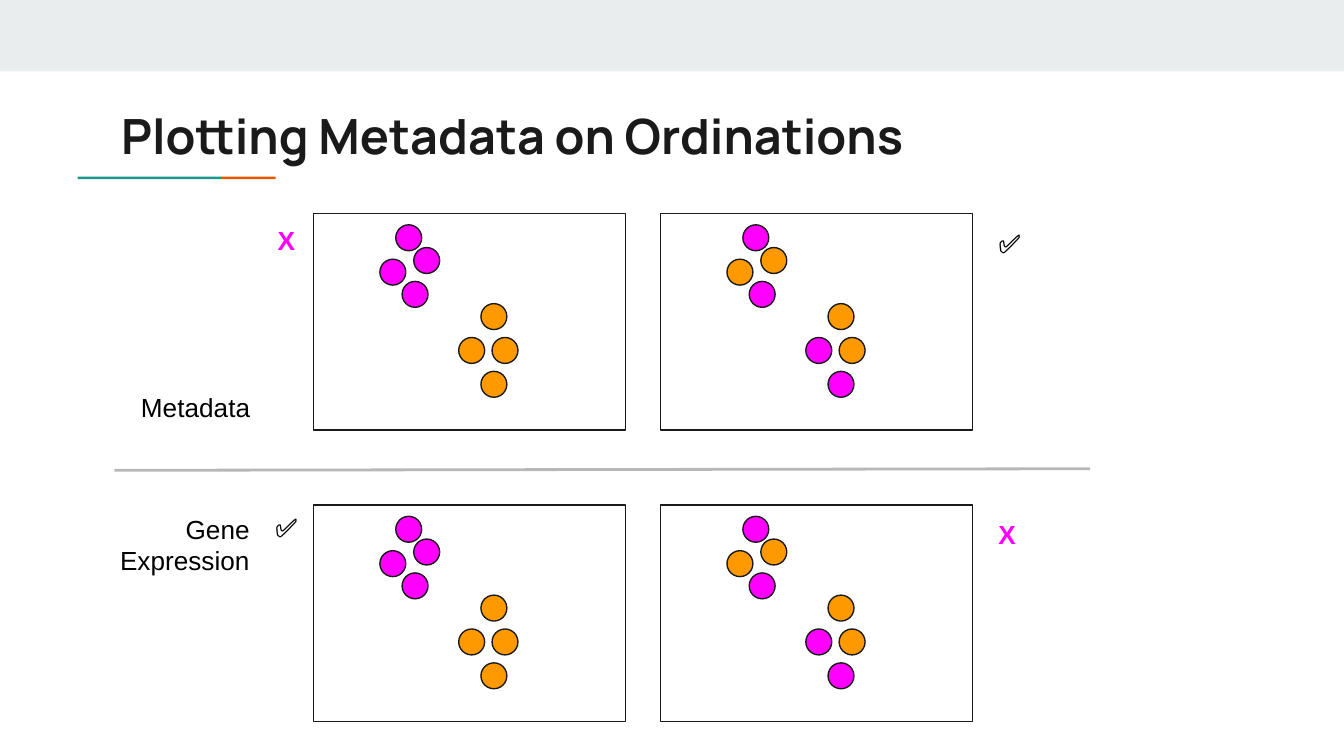
from pptx import Presentation
from pptx.dml.color import RGBColor
from pptx.enum.shapes import MSO_CONNECTOR, MSO_SHAPE
from pptx.enum.text import MSO_ANCHOR, MSO_AUTO_SIZE, PP_ALIGN
from pptx.oxml.ns import qn
from pptx.util import Cm, Pt
from lxml import etree

RECT, OVAL = MSO_SHAPE.RECTANGLE, MSO_SHAPE.OVAL
LINE = MSO_CONNECTOR.STRAIGHT
LEFT, RIGHT = PP_ALIGN.LEFT, PP_ALIGN.RIGHT
TOP, FIXED = MSO_ANCHOR.TOP, MSO_AUTO_SIZE.NONE
INK, PINK, GOLD = "1A1A1A", "FF00FF", "FF9900"
rgb = RGBColor.from_string


def draw(shapes, kind, box, fill, edge=None):
    shape = shapes.add_shape(kind, *map(Cm, box))
    shape.shadow.inherit = False
    shape.fill.solid()
    shape.fill.fore_color.rgb = rgb(fill)
    if edge:
        shape.line.color.rgb = rgb(edge)
        shape.line.width = Pt(0.75)
    else:
        shape.line.fill.background()


def write(shape, text, font, size, color, bold=False, align=LEFT):
    frame = shape.text_frame
    frame.text = text
    frame.word_wrap = True
    frame.auto_size = FIXED
    frame.vertical_anchor = TOP
    frame.margin_left = frame.margin_right = Cm(0.25)
    frame.margin_top = frame.margin_bottom = Cm(0.25)
    par = frame.paragraphs[0]
    par.alignment = align
    style = par.runs[0].font
    style.name, style.size, style.bold = font, Pt(size), bold
    style.color.rgb = rgb(color)


deck = Presentation()
deck.slide_width, deck.slide_height = Cm(25.4), Cm(14.29)
slide = deck.slides.add_slide(deck.slide_layouts[5])
shapes = slide.shapes

# Top band and the accent under the title
draw(shapes, RECT, (0, 0, 25.4, 1.35), "E9EDEE")
draw(shapes, RECT, (1.47, 3.34, 2.71, 0.05), "1A9988")
draw(shapes, RECT, (4.18, 3.34, 1.03, 0.05), "EB5600")

title = shapes.title
title.left, title.top = Cm(2.04), Cm(1.75)
title.width, title.height = Cm(21.36), Cm(1.5)
write(title, "Plotting Metadata on Ordinations", "Manrope", 26, INK, True)

# Ordination panels: same dots, coloured by cluster or mixed
dots = [(1.56, 0.21), (1.26, 0.86), (1.9, 0.64), (1.68, 1.28),
        (2.75, 2.34), (3.17, 1.7), (3.38, 2.34), (3.17, 2.98)]
split = [PINK] * 4 + [GOLD] * 4
mixed = [PINK, GOLD, GOLD, PINK] * 2
for top in (4.04, 9.55):
    for left, colors in ((5.92, split), (12.48, mixed)):
        panel = shapes.add_group_shape().shapes
        draw(panel, RECT, (left, top, 5.9, 4.09), "FFFFFF", INK)
        for (x, y), color in zip(dots, colors):
            draw(panel, OVAL, (left + x, top + y, 0.49, 0.49), color, INK)

# Row labels and verdict marks
texts = [
    ("Metadata", (2.08, 7.14, 2.9, 1), "000000", False, RIGHT),
    ("Gene Expression", (1.52, 9.45, 3.45, 1), "000000", False, RIGHT),
    ("✅", (18.62, 4.04, 1.14, 1.19), "000000", False, LEFT),
    ("X", (18.62, 9.55, 1.14, 1.19), PINK, True, LEFT),
    ("✅", (4.95, 9.42, 1.14, 1.19), "000000", False, LEFT),
    ("X", (5, 3.99, 1.14, 1.19), PINK, True, LEFT),
]
for text, box, color, bold, align in texts:
    label = shapes.add_textbox(*map(Cm, box))
    write(label, text, "Arial", 14, color, bold, align)

# Divider between the rows
rule = shapes.add_connector(LINE, Cm(2.16), Cm(8.89), Cm(20.6), Cm(8.86))
rule.line.color.rgb = rgb("B7B7B7")
rule.line.width = Pt(1.5)
etree.SubElement(rule._element.spPr, qn("a:effectLst"))

deck.save("out.pptx")
